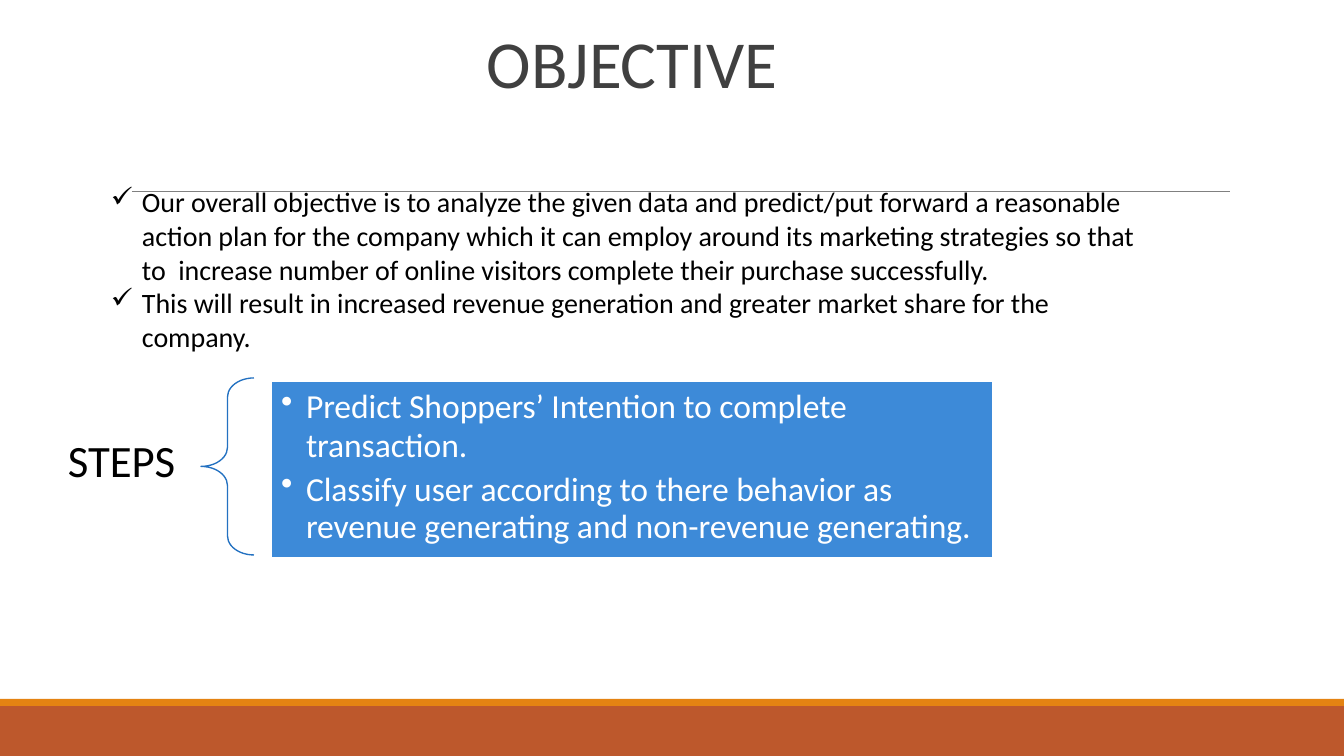
from dataclasses import dataclass

from lxml import etree
from pptx import Presentation
from pptx.dml.color import RGBColor
from pptx.enum.shapes import MSO_CONNECTOR, MSO_SHAPE
from pptx.enum.text import MSO_ANCHOR, PP_ALIGN
from pptx.oxml.ns import qn
from pptx.util import Emu, Pt

EMU_PER_PX = 914400 / 100.8


def px(n):
    return Emu(round(n * EMU_PER_PX))


def rgb(color):
    return RGBColor.from_string(color)


@dataclass(frozen=True)
class Theme:
    font: str = "Calibri"
    title: str = "404040"
    text: str = "000000"
    white: str = "FFFFFF"
    rule: str = "808080"
    rust: str = "BD582C"
    orange: str = "E48312"
    panel: str = "297ED4"
    brace: str = "2371C1"
    title_size: int = 48
    label_size: int = 32
    steps_size: int = 24
    body_size: int = 20
    thin: float = 0.5
    outline: float = 0.96


@dataclass(frozen=True)
class Para:
    text: str
    bullet: str = ""
    margin: int = 0
    hang: int = 0
    before: float = 0
    leading: float = 0


class SlideBuilder:
    def __init__(self, slide, theme):
        self.s, self.theme = slide, theme

    def shape(self, kind, box, fill=None, line=None, alpha=None):
        sp = self.s.shapes.add_shape(kind, *map(px, box))
        sp.shadow.inherit = False
        if fill:
            sp.fill.solid()
            sp.fill.fore_color.rgb = rgb(fill)
        else:
            sp.fill.background()
        if alpha:
            clr = sp._element.spPr.find(qn("a:solidFill"))[0]
            etree.SubElement(clr, qn("a:alpha")).set("val", str(alpha * 1000))
        if line:
            sp.line.color.rgb = rgb(line)
            sp.line.width = Pt(self.theme.outline)
        else:
            sp.line.fill.background()
        return sp

    def rule(self, x1, x2, y):
        ln = self.s.shapes.add_connector(MSO_CONNECTOR.STRAIGHT, px(x1), px(y), px(x2), px(y))
        ln.line.color.rgb = rgb(self.theme.rule)
        ln.line.width = Pt(self.theme.thin)
        etree.SubElement(ln._element.spPr, qn("a:effectLst"))

    def text_box(self, box, paras, size, color, **options):
        sp = self.s.shapes.add_textbox(*map(px, box))
        self.set_text(sp, paras, size, color, **options)

    def set_text(self, sp, paras, size, color, align=PP_ALIGN.LEFT,
                 anchor=MSO_ANCHOR.TOP, top=1, right=0, tracking=-0.05):
        """Fill a shape with paragraphs; tracking is letter spacing in points."""
        tf = sp.text_frame
        tf.word_wrap = True
        tf.vertical_anchor = anchor
        tf.margin_left = tf.margin_bottom = 0
        tf.margin_top, tf.margin_right = px(top), px(right)
        for i, para in enumerate(paras):
            p = tf.add_paragraph() if i else tf.paragraphs[0]
            p.text = para.text
            p.alignment = align
            p.space_before = Pt(para.before)
            if para.leading:
                p.line_spacing = Pt(para.leading)
            pPr = p._p.get_or_add_pPr()
            pPr.set("marL", str(px(para.margin)))
            pPr.set("indent", str(px(-para.hang)))
            if para.bullet:
                etree.SubElement(pPr, qn("a:buChar")).set("char", para.bullet)
            for r in p.runs:
                r.font.name = self.theme.font
                r.font.size = Pt(size)
                r.font.color.rgb = rgb(color)
                r._r.get_or_add_rPr().set("spc", str(round(tracking * 100)))


def main():
    prs = Presentation()
    prs.slide_width, prs.slide_height = px(1344), px(756)
    t = Theme()
    b = SlideBuilder(prs.slides.add_slide(prs.slide_layouts[6]), t)

    b.shape(MSO_SHAPE.RECTANGLE, (0, 706, 1344, 50), t.rust)
    b.shape(MSO_SHAPE.RECTANGLE, (0, 699, 1344, 7), t.orange)
    b.rule(132, 1230, 191)

    b.text_box((238, 19, 787, 83), [Para("OBJECTIVE", margin=1, before=0.9)],
               t.title_size, t.title, align=PP_ALIGN.CENTER,
               anchor=MSO_ANCHOR.BOTTOM, tracking=-0.1)

    check = {"bullet": "✓", "margin": 33, "hang": 31}
    b.text_box((109, 184, 1063, 137), [
        Para("Our overall objective is to analyze the given data and predict/put forward "
             "a reasonable action plan for the company which it can employ around its "
             "marketing strategies so that to  increase number of online visitors complete "
             "their purchase successfully.", before=1.1, **check),
        Para("This will result in increased revenue generation and greater market share "
             "for the company.", **check),
    ], t.body_size, t.text, right=27)

    b.text_box((67, 432, 111, 56), [Para("STEPS", margin=1, before=1)],
               t.label_size, t.text, tracking=-0.1)
    brace = b.shape(MSO_SHAPE.LEFT_BRACE, (201, 378, 53, 177), line=t.brace)
    brace.adjustments[0] = 0.36

    dot = {"bullet": "•", "margin": 35, "hang": 25}
    panel = b.shape(MSO_SHAPE.RECTANGLE, (271, 381, 722, 177), t.panel, t.white, alpha=90)
    b.set_text(panel, [
        Para("Predict Shoppers’ Intention to complete", before=4.3, leading=27.6, **dot),
        Para("transaction.", margin=35, leading=27.6),
        Para("Classify user according to there behavior as revenue generating and "
             "non-revenue generating.", before=4.8, leading=26.4, **dot),
    ], t.steps_size, t.white, top=6, right=15)

    prs.save("out.pptx")


if __name__ == "__main__":
    main()
